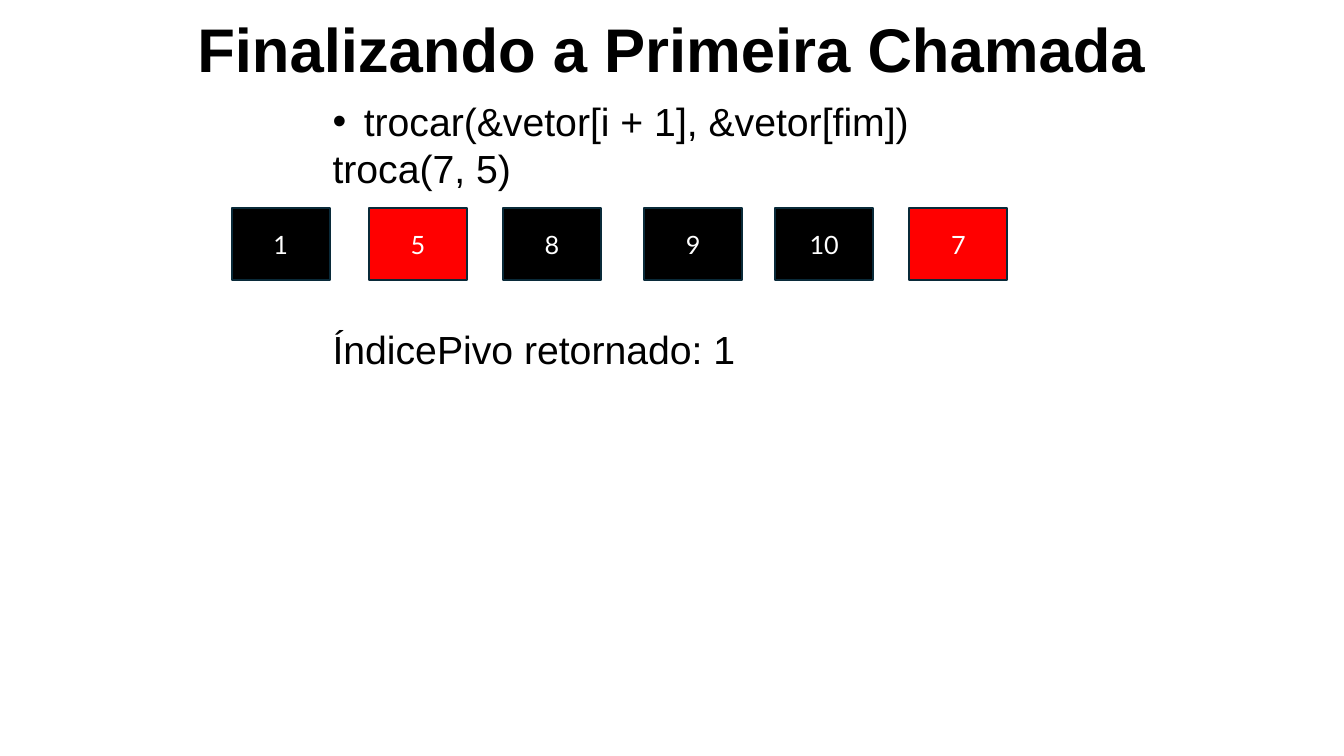
from lxml.etree import SubElement
from pptx import Presentation
from pptx.dml.color import RGBColor
from pptx.enum.shapes import MSO_SHAPE
from pptx.enum.text import MSO_ANCHOR, MSO_AUTO_SIZE, PP_ALIGN
from pptx.oxml.ns import qn
from pptx.util import Inches, Pt

COLORS = {"text": "000000", "cell": "000000", "swapped": "FF0000",
          "border": "092A39", "value": "FFFFFF"}


class SlideBuilder:
    unit = 0.1
    text_font = "Arial"
    value_font = "Lato"

    def __init__(self, slide):
        self.slide = slide

    def area(self, column, row, columns, rows):
        return [Inches(n * self.unit) for n in (column, row, columns, rows)]

    def color(self, name):
        return RGBColor.from_string(COLORS[name])

    def style(self, paragraph, font, size, color, align, bold=False):
        paragraph.alignment = align
        paragraph.font.name = font
        paragraph.font.size = Pt(size)
        paragraph.font.bold = bold
        paragraph.font.color.rgb = self.color(color)

    def bullet(self, paragraph, indent):
        properties = paragraph._p.get_or_add_pPr()
        hanging = Inches(indent * self.unit)
        properties.set("marL", str(hanging))
        properties.set("indent", str(-hanging))
        SubElement(properties, qn("a:buFont")).set("typeface", self.text_font)
        SubElement(properties, qn("a:buChar")).set("char", "•")

    def text(self, area, lines, size=28, align=PP_ALIGN.LEFT, bold=False):
        frame = self.slide.shapes.add_textbox(*self.area(*area)).text_frame
        frame.word_wrap = True
        frame.auto_size = MSO_AUTO_SIZE.SHAPE_TO_FIT_TEXT
        frame.text = "\n".join(lines)
        for paragraph in frame.paragraphs:
            self.style(paragraph, self.text_font, size, "text", align, bold)
        return frame

    def cell(self, area, value, fill):
        box = self.slide.shapes.add_shape(MSO_SHAPE.RECTANGLE, *self.area(*area))
        box.shadow.inherit = False
        box.fill.solid()
        box.fill.fore_color.rgb = self.color(fill)
        box.line.color.rgb = self.color("border")
        box.line.width = Pt(1.5)
        frame = box.text_frame
        frame.vertical_anchor = MSO_ANCHOR.MIDDLE
        frame.text = value
        self.style(frame.paragraphs[0], self.value_font, 18, "value", PP_ALIGN.CENTER)


def main():
    deck = Presentation()
    deck.slide_width, deck.slide_height = Inches(13.33), Inches(7.5)
    builder = SlideBuilder(deck.slides.add_slide(deck.slide_layouts[6]))

    builder.text((13, 0.6, 107.3, 8.4), ["Finalizando a Primeira Chamada"],
                 size=44, align=PP_ALIGN.CENTER, bold=True)
    swap_call = builder.text((32, 9.2, 82, 10.4),
                             ["trocar(&vetor[i + 1], &vetor[fim])", "troca(7, 5)"])
    builder.bullet(swap_call.paragraphs[0], 3.1)

    swapped = {"5", "7"}
    vector = {"1": 23, "5": 36.6, "8": 49.9, "9": 63.9, "10": 76.9, "7": 90.2}
    for value, column in vector.items():
        builder.cell((column, 20.6, 9.7, 7.2), value,
                     "swapped" if value in swapped else "cell")

    builder.text((32, 31.8, 66.6, 5.7), ["ÍndicePivo retornado: 1"])
    deck.save("out.pptx")


if __name__ == "__main__":
    main()
